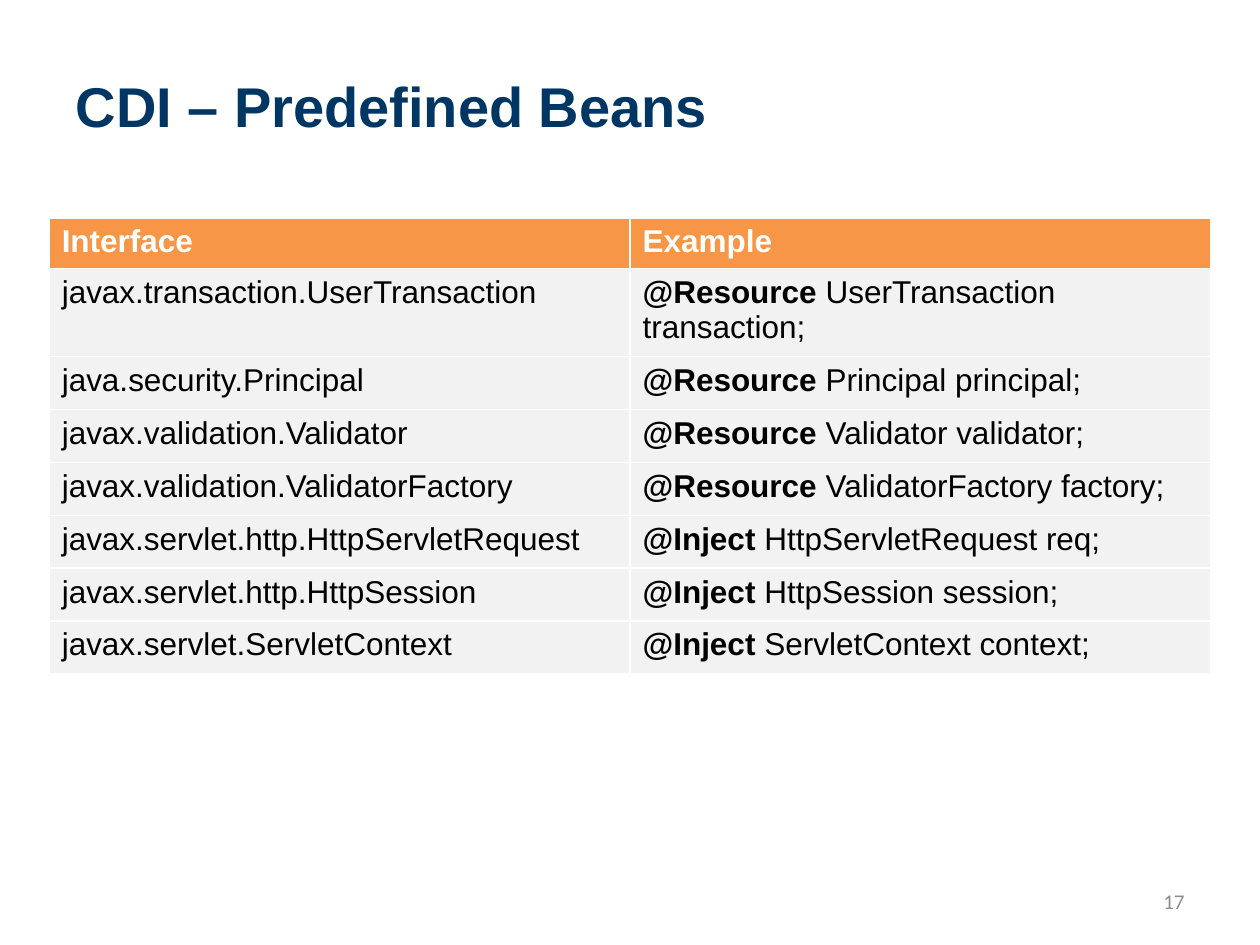
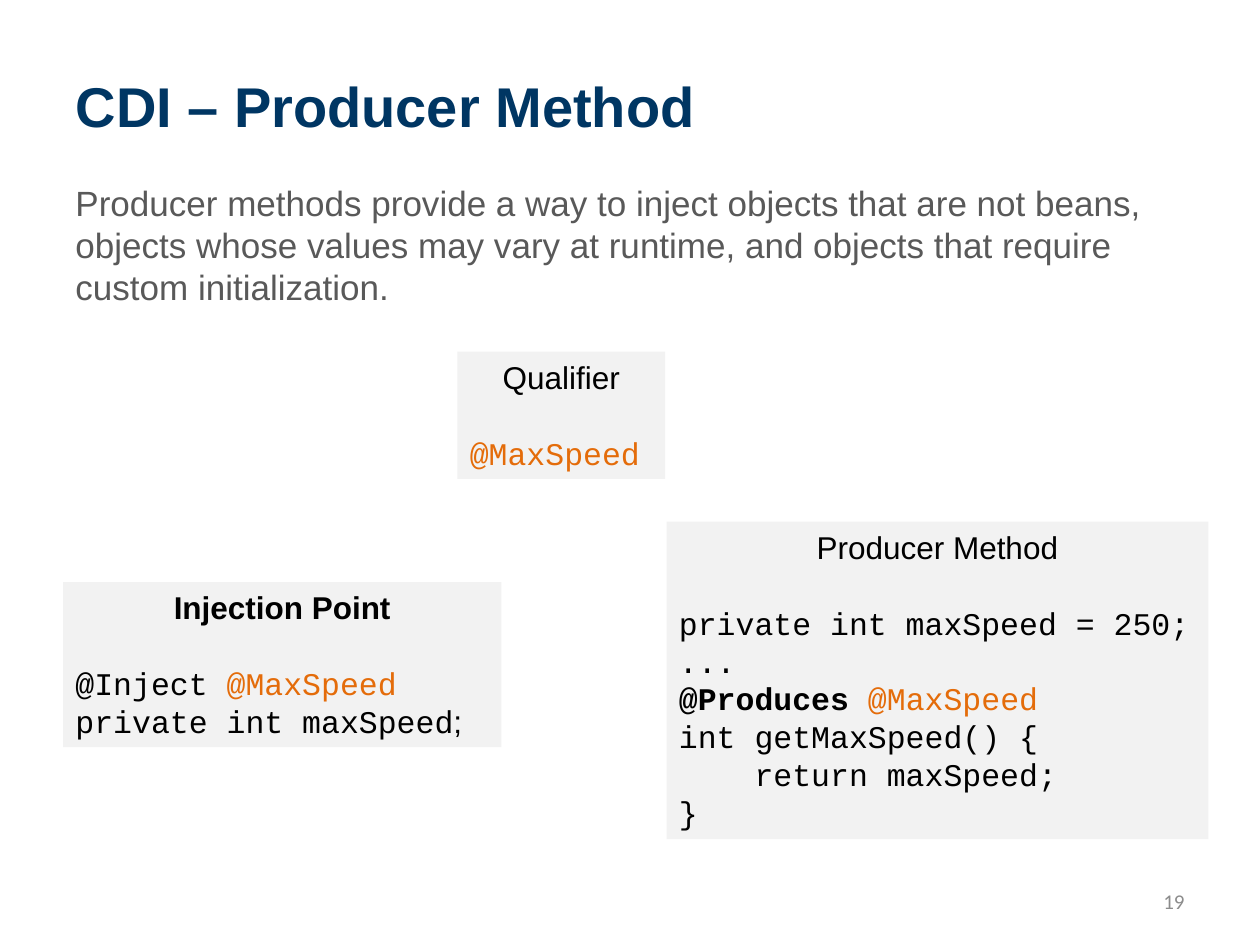
from dataclasses import dataclass
from typing import Any, NamedTuple

from pptx import Presentation
from pptx import util as u
from pptx.dml.color import RGBColor
from pptx.enum import shapes, text

PX = u.Inches(1) // 100


@dataclass(frozen=True)
class Theme:
    navy: str = "003663"
    orange: str = "F79646"
    accent: str = "E46C0A"
    panel: str = "F2F2F2"
    gray: str = "595959"
    number_gray: str = "8C8C8C"
    black: str = "000000"
    white: str = "FFFFFF"
    sans: str = "Arial"
    mono: str = "Courier New"
    number_font: str = "Calibri"
    title_size: int = 32
    body_size: int = 20
    label_size: int = 18
    number_size: int = 12
    heading_gap: float = 21.8


THEME = Theme()


class Area(NamedTuple):
    left: int
    top: int
    width: int
    height: int

    def emu(self) -> list[int]:
        return [length * PX for length in self]


class Span(NamedTuple):
    words: str
    color: str = THEME.black
    font: str = THEME.sans
    bold: bool = False
    size: int = THEME.label_size


class Panel(NamedTuple):
    area: Area
    heading: Span
    code: list[list[Span]]


class Bean(NamedTuple):
    interface: str
    annotation: str
    declaration: str


def code(words: str, color: str = THEME.black, bold: bool = False) -> Span:
    return Span(words, color, THEME.mono, bold)


TITLE_AREA = Area(50, 52, 900, 71)
NUMBER_AREA = Area(717, 695, 233, 40)
TABLE_AREA = Area(39, 173, 922, 328)
BODY_AREA = Area(50, 139, 922, 178)
HEADER_HEIGHT, ROW_HEIGHT = 34, 42

BEANS = [
    Bean("javax.transaction.UserTransaction", "@Resource ", "UserTransaction transaction;"),
    Bean("java.security.Principal", "@Resource ", "Principal principal;"),
    Bean("javax.validation.Validator", "@Resource ", "Validator validator;"),
    Bean("javax.validation.ValidatorFactory", "@Resource ", "ValidatorFactory factory;"),
    Bean("javax.servlet.http.HttpServletRequest", "@Inject ", "HttpServletRequest req;"),
    Bean("javax.servlet.http.HttpSession", "@Inject ", "HttpSession session;"),
    Bean("javax.servlet.ServletContext", "@Inject ", "ServletContext context;"),
]

PRODUCER_INTRO = (
    "Producer methods provide a way to inject objects that are not beans, "
    "objects whose values may vary at runtime, and objects that require "
    "custom initialization."
)

MAX_SPEED = code("@MaxSpeed", THEME.accent)

PANELS = [
    Panel(Area(363, 279, 165, 101), Span("Qualifier"), [[MAX_SPEED]]),
    Panel(
        Area(529, 414, 430, 252),
        Span("Producer Method"),
        [
            [code("private int maxSpeed = 250;")],
            [code("...")],
            [code("@Produces ", bold=True), MAX_SPEED],
            [code("int getMaxSpeed() {")],
            [code("    return maxSpeed;")],
            [code("}")],
        ],
    ),
    Panel(
        Area(50, 462, 348, 131),
        Span("Injection Point", bold=True),
        [
            [code("@Inject "), MAX_SPEED],
            [code("private int maxSpeed"), Span(";")],
        ],
    ),
]


def apply(target: Any, values: dict[str, Any]) -> None:
    for name, value in values.items():
        setattr(target, name, value)


def paint(target: Any, color: str) -> None:
    target.fill.solid()
    target.fill.fore_color.rgb = RGBColor.from_string(color)


def write_para(para: Any, spans: list[Span], **values: Any) -> None:
    apply(para, {"alignment": text.PP_ALIGN.LEFT, **values})
    for span in spans:
        run = para.add_run()
        run.text = span.words
        apply(run.font, {"name": span.font, "size": u.Pt(span.size), "bold": span.bold})
        run.font.color.rgb = RGBColor.from_string(span.color)


def format_frame(frame: Any, **values: Any) -> None:
    apply(frame, {"word_wrap": True, "vertical_anchor": text.MSO_ANCHOR.TOP, **values})


def add_text(page: Any, area: Area, span: Span, anchor: Any, **values: Any) -> None:
    box = page.shapes.add_textbox(*area.emu())
    format_frame(box.text_frame, vertical_anchor=anchor)
    write_para(box.text_frame.paragraphs[0], [span], **values)


def add_page(deck: Any, title: str, number: int) -> Any:
    page = deck.slides.add_slide(deck.slide_layouts[5])
    box = page.shapes.title
    apply(box, dict(zip(("left", "top", "width", "height"), TITLE_AREA.emu())))
    format_frame(box.text_frame, auto_size=text.MSO_AUTO_SIZE.NONE)
    span = Span(title, THEME.navy, bold=True, size=THEME.title_size)
    write_para(box.text_frame.paragraphs[0], [span])
    add_text(
        page,
        NUMBER_AREA,
        Span(str(number), THEME.number_gray, THEME.number_font, size=THEME.number_size),
        text.MSO_ANCHOR.MIDDLE,
        alignment=text.PP_ALIGN.RIGHT,
    )
    return page


def add_bean_table(page: Any) -> None:
    rows = [[[Span(name, THEME.white, bold=True)] for name in ("Interface", "Example")]]
    rows += [
        [[Span(bean.interface)], [Span(bean.annotation, bold=True), Span(bean.declaration)]]
        for bean in BEANS
    ]
    table = page.shapes.add_table(len(rows), 2, *TABLE_AREA.emu()).table
    for column in table.columns:
        column.width = TABLE_AREA.width * PX // 2
    for row_index, row in enumerate(rows):
        is_header = row_index == 0
        table.rows[row_index].height = (HEADER_HEIGHT if is_header else ROW_HEIGHT) * PX
        for column_index, spans in enumerate(row):
            cell = table.cell(row_index, column_index)
            paint(cell, THEME.orange if is_header else THEME.panel)
            write_para(cell.text_frame.paragraphs[0], spans)


def add_panel(page: Any, panel: Panel) -> None:
    box = page.shapes.add_shape(shapes.MSO_SHAPE.RECTANGLE, *panel.area.emu())
    box.shadow.inherit = False
    paint(box, THEME.panel)
    box.line.fill.background()
    frame = box.text_frame
    format_frame(frame, auto_size=text.MSO_AUTO_SIZE.SHAPE_TO_FIT_TEXT)
    write_para(frame.paragraphs[0], [panel.heading], alignment=text.PP_ALIGN.CENTER)
    for index, spans in enumerate(panel.code):
        gap = 0 if index else THEME.heading_gap
        write_para(frame.add_paragraph(), spans, space_before=u.Pt(gap))


def main() -> None:
    deck = Presentation()
    apply(deck, {"slide_width": 1000 * PX, "slide_height": 750 * PX})

    add_bean_table(add_page(deck, "CDI – Predefined Beans", 17))

    producer_page = add_page(deck, "CDI – Producer Method", 19)
    add_text(
        producer_page,
        BODY_AREA,
        Span(PRODUCER_INTRO, THEME.gray, size=THEME.body_size),
        text.MSO_ANCHOR.TOP,
    )
    for panel in PANELS:
        add_panel(producer_page, panel)

    deck.save("out.pptx")


if __name__ == "__main__":
    main()
